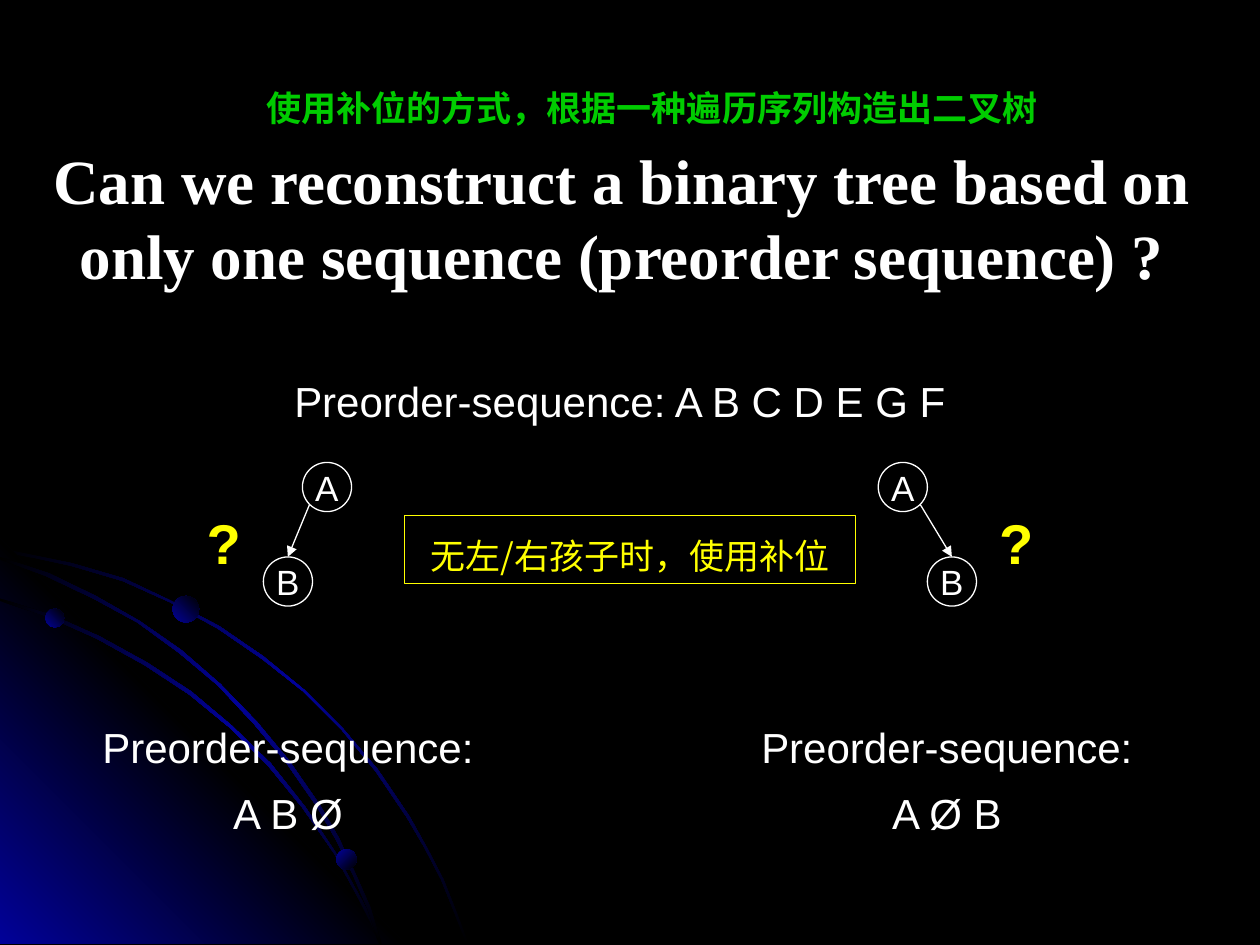
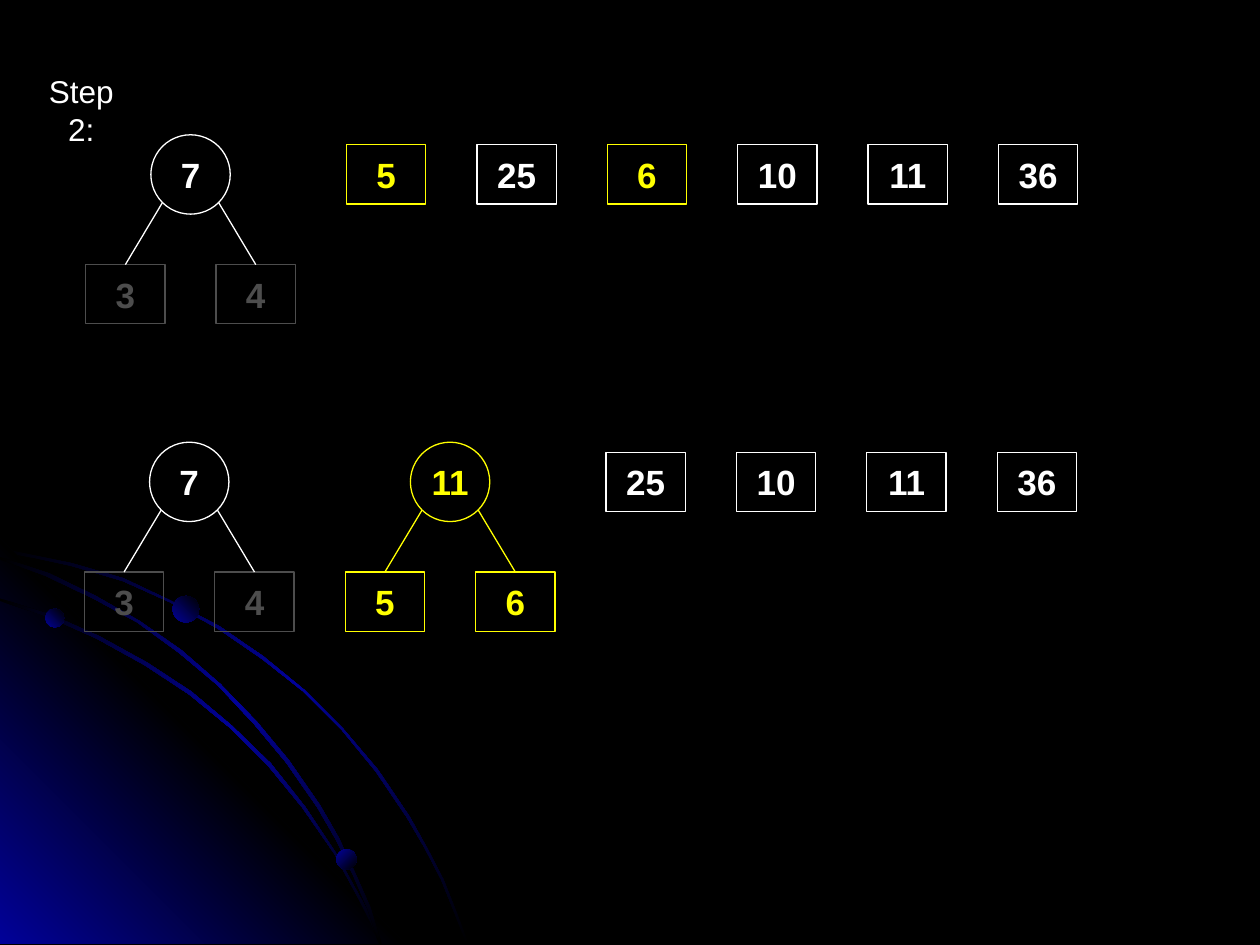
import math

from lxml import etree
from pptx import Presentation
from pptx import util as u
from pptx.dml.color import RGBColor
from pptx.enum import shapes, text
from pptx.oxml.ns import qn

COLORS = {
    "night": "000000",
    "glow": "010199",
    "white": "FFFFFF",
    "highlight": "FFFF00",
    "used": "4D4D4D",
    "hint": "00CC00",
}
CJK = "Noto Sans CJK SC"
OVAL, RECT = shapes.MSO_SHAPE.OVAL, shapes.MSO_SHAPE.RECTANGLE
TITLE_ONLY = 5

ARCS = [
    [(0.57, 4.47), (0.28, 4.41), (0, 4.35), (0, 4.38), (0.28, 4.43), (0.56, 4.49),
     (0.97, 4.61), (1.35, 4.78), (1.73, 4.99), (2.08, 5.23), (2.41, 5.49), (2.71, 5.79),
     (2.98, 6.12), (3.23, 6.49), (3.37, 6.73), (3.5, 6.98), (3.6, 7.23), (3.7, 7.49),
     (3.72, 7.49), (3.62, 7.23), (3.52, 6.98), (3.39, 6.73), (3.25, 6.48), (3, 6.11),
     (2.72, 5.78), (2.42, 5.48), (2.09, 5.21), (1.74, 4.97), (1.36, 4.77), (0.98, 4.59)],
    [(2.85, 7.14), (2.94, 7.32), (3.01, 7.49), (3.03, 7.49), (2.96, 7.3), (2.86, 7.12),
     (2.66, 6.76), (2.42, 6.4), (2.15, 6.06), (1.84, 5.76), (1.52, 5.49), (1.17, 5.26),
     (0.79, 5.05), (0.41, 4.88), (0, 4.75), (0, 4.77), (0.39, 4.9), (0.77, 5.07),
     (1.15, 5.28), (1.5, 5.51), (1.83, 5.78), (2.13, 6.08), (2.4, 6.41), (2.65, 6.77)],
    [(0, 4.42), (0, 4.44), (0.36, 4.57), (0.74, 4.75), (1.09, 4.94), (1.42, 5.18),
     (1.73, 5.44), (2.02, 5.75), (2.27, 6.05), (2.52, 6.41), (2.67, 6.67), (2.8, 6.94),
     (2.92, 7.22), (3.01, 7.49), (3.03, 7.49), (2.94, 7.2), (2.82, 6.93), (2.69, 6.65),
     (2.54, 6.39), (2.29, 6.03), (2.04, 5.73), (1.75, 5.43), (1.44, 5.16), (1.11, 4.93),
     (0.76, 4.73), (0.39, 4.55)],
]
CORNER = [(3.22, 7.49), (0, 7.49), (0, 4.27)]
PLANETS = [(0.36, 4.83, 0.15, 315), (2.67, 6.74, 0.16, 45), (1.37, 4.73, 0.21, 315)]


def rgb(color):
    return RGBColor.from_string(COLORS[color])


def write(shape, lines, size, color="white", bold=False, font="Arial", spacing=None,
          wrap=True, anchor=text.MSO_ANCHOR.TOP):
    frame = shape.text_frame
    frame.text = "\n".join(lines)
    frame.word_wrap = wrap
    frame.auto_size = text.MSO_AUTO_SIZE.NONE
    frame.vertical_anchor = anchor
    for paragraph in frame.paragraphs:
        paragraph.alignment = text.PP_ALIGN.CENTER
        if spacing:
            paragraph.line_spacing = spacing
        style = paragraph.font
        style.name, style.size, style.bold = font, u.Pt(size), bold
        style.color.rgb = rgb(color)
        defaults = paragraph._p.pPr.find(qn("a:defRPr"))
        etree.SubElement(defaults, qn("a:ea"), typeface=CJK)


def set_title(slide, box, title, size, **style):
    placeholder = slide.shapes.title
    placeholder.left, placeholder.top, placeholder.width, placeholder.height = map(u.Inches, box)
    write(placeholder, [title], size, **style)


def add_text(slide, box, lines, size, **style):
    write(slide.shapes.add_textbox(*map(u.Inches, box)), lines, size, **style)


def add_outline(slide, kind, box, color):
    shape = slide.shapes.add_shape(kind, *map(u.Inches, box))
    shape.shadow.inherit = False
    shape.fill.background()
    shape.line.color.rgb = rgb(color)
    shape.line.width = u.Pt(0.75)
    return shape


def add_node(slide, kind, box, label, color="white", bold=False):
    node = add_outline(slide, kind, box, color)
    write(node, [label], 20, color, bold, wrap=False, anchor=text.MSO_ANCHOR.MIDDLE)
    return node


def add_edge(slide, parent, child, side, color="white", arrow=False):
    """Join a round parent's lower left (side -1) or right (1) to the child's top."""
    radius = parent.width / 2
    reach = radius * math.sqrt(0.5)
    x = int(parent.left + radius + side * reach)
    y = int(parent.top + radius + reach)
    edge = slide.shapes.add_connector(shapes.MSO_CONNECTOR.STRAIGHT, x, y, x, y)
    edge.end_connect(child, 0)
    edge.line.color.rgb = rgb(color)
    edge.line.width = u.Pt(0.75)
    properties = edge.element.spPr
    if arrow:
        etree.SubElement(properties.find(qn("a:ln")), qn("a:tailEnd"), type="triangle")
    etree.SubElement(properties, qn("a:effectLst"))


def fill_gradient(shape, colors, angle):
    """Spread the colours evenly; the angle runs clockwise from the right."""
    shape.shadow.inherit = False
    shape.line.fill.background()
    shape.fill.gradient()
    shape.fill.gradient_angle = 360 - angle
    stops = shape.element.spPr.find(qn("a:gradFill")).find(qn("a:gsLst"))
    for stop in list(stops):
        stops.remove(stop)
    for i, color in enumerate(colors):
        position = str(100000 * i // (len(colors) - 1))
        stop = etree.SubElement(stops, qn("a:gs"), pos=position)
        etree.SubElement(stop, qn("a:srgbClr"), val=COLORS[color])


def add_polygon(slide, points, colors, angle):
    start, *rest = [(u.Inches(x), u.Inches(y)) for x, y in points]
    builder = slide.shapes.build_freeform(*start)
    builder.add_line_segments(rest, close=True)
    polygon = builder.convert_to_shape()
    fill_gradient(polygon, colors, angle)
    return polygon


def decorate_master(master, slide):
    """Draw the night sky on the slide, then move it to the master."""
    master.background.fill.solid()
    master.background.fill.fore_color.rgb = rgb("night")
    streak = ["night", "glow", "night"]
    sky = [add_polygon(slide, ARCS[0], streak, 45),
           add_polygon(slide, CORNER, ["glow", "night", "glow"], 315)]
    sky += [add_polygon(slide, arc, streak, 45) for arc in ARCS[1:]]
    for x, y, size, angle in PLANETS:
        planet = slide.shapes.add_shape(OVAL, *map(u.Inches, (x, y, size, size)))
        fill_gradient(planet, ["glow", "night"], angle)
        sky.append(planet)
    for number, part in enumerate(sky, 100):
        part.element.nvSpPr.cNvPr.set("id", str(number))
        master.element.cSld.spTree.append(part.element)


def add_guess(slide, left, top, side, question_left):
    """Draw A with B as its left (side -1) or right (1) child, and a question mark."""
    size = 0.39
    child_left = left + (0.39 if side > 0 else -0.31)
    parent = add_node(slide, OVAL, (left, top, size, size), "A")
    child = add_node(slide, OVAL, (child_left, top + 0.75, size, size), "B")
    add_edge(slide, parent, child, side, arrow=True)
    add_text(slide, (question_left, top + 0.32, 0.47, 0.64), ["?"], 32,
             color="highlight", bold=True)


def build_question(slide):
    set_title(slide, (0.28, 1.07, 9.31, 1.31),
              "Can we reconstruct a binary tree based on only one sequence "
              "(preorder sequence) ?", 36, bold=True, font="Times New Roman")
    add_text(slide, (0.4, 2.81, 9.04, 0.62), ["Preorder-sequence: A B C D E G F"], 24,
             spacing=1.3)
    add_guess(slide, 2.4, 3.67, -1, 1.54)
    add_guess(slide, 6.97, 3.67, 1, 7.83)
    for left, sequence in ((0.28, "A B Ø"), (5.51, "A Ø B")):
        add_text(slide, (left, 5.56, 4.01, 1.15), ["Preorder-sequence:", sequence], 24,
                 spacing=1.3)
    callout = add_outline(slide, RECT, (3.21, 4.09, 3.58, 0.54), "highlight")
    write(callout, ["无左/右孩子时，使用补位"], 20, "highlight", font=CJK, spacing=1.3)
    add_text(slide, (1.45, 0.64, 7.45, 0.44),
             ["使用补位的方式，根据一种遍历序列构造出二叉树"], 20, color="hint", bold=True)


def add_forest(slide, left, top, forest):
    """Lay out weights and two-leaf trees (root, leaves, colours) on one column grid."""
    pitch, width, height = 1.035, 0.63, 0.47
    column = 0
    for label, color, leaves, leaf_color in forest:
        x = left + column * pitch
        if not leaves:
            add_node(slide, RECT, (x, top + 0.08, width, height), label, color, True)
            column += 1
            continue
        root = add_node(slide, OVAL, (x + pitch / 2, top, width, width), label, color, True)
        for i, leaf_label in enumerate(leaves):
            leaf = add_node(slide, RECT, (x + i * pitch, top + 1.03, width, height),
                            leaf_label, leaf_color, True)
            add_edge(slide, root, leaf, 2 * i - 1, color)
        column += 2


def build_step(slide):
    def weights(labels, chosen=()):
        return [(label, "highlight" if label in chosen else "white", (), None)
                for label in labels]

    merged = ("7", "white", ("3", "4"), "used")
    joined = ("11", "highlight", ("5", "6"), "highlight")
    set_title(slide, (0.15, 0.52, 0.99, 0.4), "Step 2:", 18, wrap=False)
    add_forest(slide, 0.68, 1.07,
               [merged] + weights(["5", "25", "6", "10", "11", "36"], chosen=("5", "6")))
    add_forest(slide, 0.67, 3.51, [merged, joined] + weights(["25", "10", "11", "36"]))


def main():
    prs = Presentation()
    prs.slide_width, prs.slide_height = u.Inches(10), u.Inches(7.5)
    layout = prs.slide_layouts[TITLE_ONLY]
    question, step = (prs.slides.add_slide(layout) for _ in range(2))
    decorate_master(prs.slide_master, question)
    build_question(question)
    build_step(step)
    prs.save("out.pptx")


if __name__ == "__main__":
    main()
